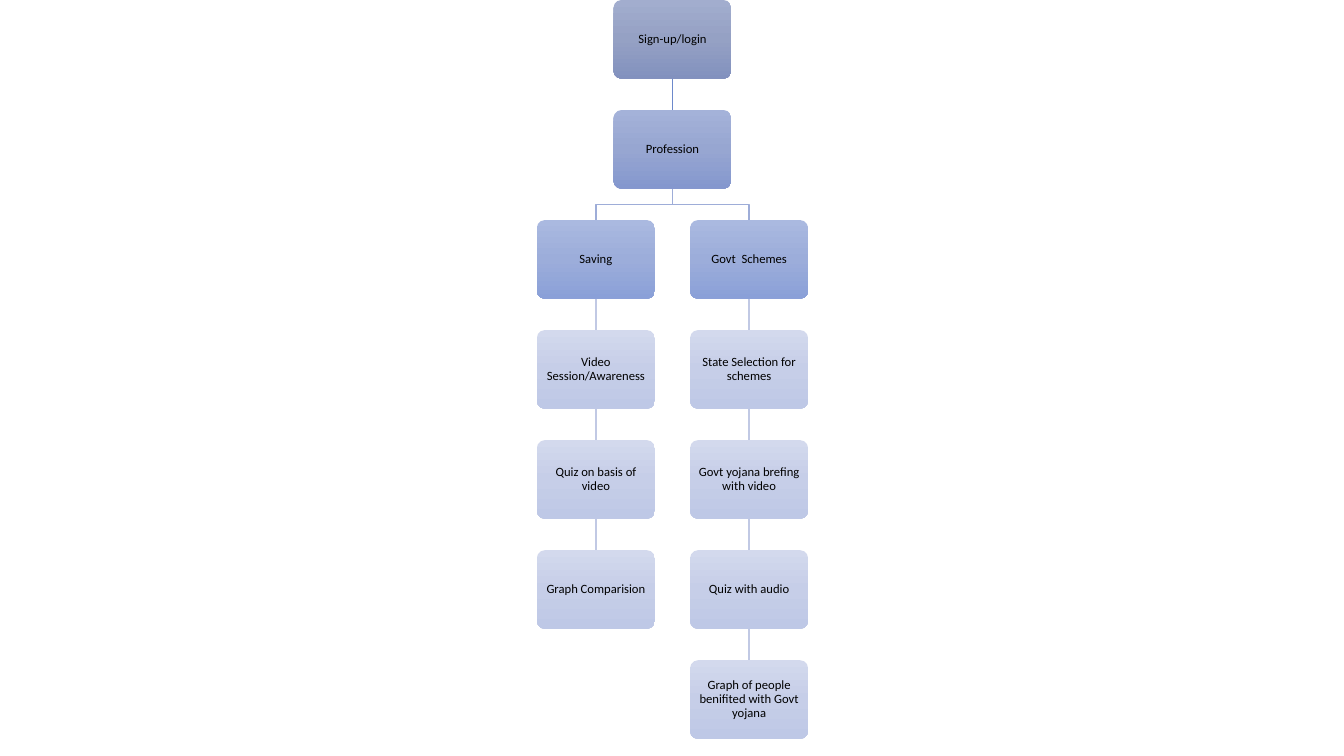
from copy import deepcopy

from lxml.etree import SubElement
from pptx import Presentation
from pptx.dml.color import RGBColor
from pptx.enum.shapes import MSO_CONNECTOR, MSO_SHAPE
from pptx.enum.text import MSO_ANCHOR, PP_ALIGN
from pptx.oxml.ns import qn
from pptx.util import Inches, Pt

BOX_WIDTH, BOX_HEIGHT = 1.17, 0.78
CHART_HEIGHT, LEVEL_COUNT = 7.33, 7
LEVEL_STEP = (CHART_HEIGHT - BOX_HEIGHT) / (LEVEL_COUNT - 1)
CENTER, BRANCH_OFFSET = 6.67, 0.76
TOP_SITE, BOTTOM_SITE = 0, 2

COLORS = {
    "text": "000000",
    "login_line": "6D89CB",
    "branch_line": "9EADD8",
    "step_line": "C1C9E4",
}
GRADIENTS = {
    "login": ("A2ADCE", "95A1C4", "8291BE"),
    "profession": ("A4B2D9", "97A6D1", "8497CE"),
    "branch": ("AAB9E0", "9CADDA", "8AA0D8"),
    "step": ("D3D9ED", "C6CEE8", "BEC8E6"),
}
BRANCHES = [
    (CENTER - BRANCH_OFFSET, [
        "Saving",
        "Video Session/Awareness",
        "Quiz on basis of video",
        "Graph Comparision",
    ]),
    (CENTER + BRANCH_OFFSET, [
        "Govt  Schemes",
        "State Selection for schemes",
        "Govt yojana brefing with video",
        "Quiz with audio",
        "Graph of people benifited with Govt yojana",
    ]),
]


def fill_gradient(shape, colors):
    """Fill from top to bottom with three evenly spaced colours."""
    shape.fill.gradient()
    shape.fill.gradient_angle = 270
    stop_list = shape._element.spPr.find(qn("a:gradFill")).find(qn("a:gsLst"))
    stop_list.insert(1, deepcopy(stop_list[0]))
    for index, (stop, color) in enumerate(zip(shape.fill.gradient_stops, colors)):
        stop.position = index / 2
        stop.color.rgb = RGBColor.from_string(color)


def style_line(line, color):
    line.color.rgb = RGBColor.from_string(COLORS[color])
    line.width = Pt(1)


def add_box(slide, center, level, text, gradient):
    box = slide.shapes.add_shape(
        MSO_SHAPE.ROUNDED_RECTANGLE,
        Inches(center - BOX_WIDTH / 2), Inches(level * LEVEL_STEP),
        Inches(BOX_WIDTH), Inches(BOX_HEIGHT))
    box.adjustments[0] = 0.1
    box.shadow.inherit = False
    box.line.fill.background()
    fill_gradient(box, GRADIENTS[gradient])

    frame = box.text_frame
    frame.word_wrap = True
    frame.vertical_anchor = MSO_ANCHOR.MIDDLE
    frame.margin_left = frame.margin_right = Inches(0.04)
    frame.margin_top = frame.margin_bottom = Inches(0.04)
    paragraph = frame.paragraphs[0]
    paragraph.text = text
    paragraph.alignment = PP_ALIGN.CENTER
    paragraph.line_spacing = 0.9
    paragraph.font.name = "Calibri"
    paragraph.font.size = Pt(9)
    paragraph.font.color.rgb = RGBColor.from_string(COLORS["text"])
    return box


def add_straight_link(slide, upper, lower, color):
    link = slide.shapes.add_connector(MSO_CONNECTOR.STRAIGHT, 0, 0, 0, 0)
    link.begin_connect(upper, BOTTOM_SITE)
    link.end_connect(lower, TOP_SITE)
    style_line(link.line, color)
    SubElement(link._element.spPr, qn("a:effectLst"))


def add_branch_link(slide, upper, lower):
    """Draw a down-across-down line between two boxes."""
    start_x = upper.left + upper.width // 2
    start_y = upper.top + upper.height
    end_x = lower.left + lower.width // 2
    middle_y = (start_y + lower.top) // 2
    builder = slide.shapes.build_freeform(start_x, start_y)
    builder.add_line_segments(
        [(start_x, middle_y), (end_x, middle_y), (end_x, lower.top)], close=False)
    link = builder.convert_to_shape()
    link.fill.background()
    link.shadow.inherit = False
    style_line(link.line, "branch_line")


def add_branch(slide, parent, center, labels):
    previous = add_box(slide, center, 2, labels[0], "branch")
    add_branch_link(slide, parent, previous)
    for level, label in enumerate(labels[1:], start=3):
        step = add_box(slide, center, level, label, "step")
        add_straight_link(slide, previous, step, "step_line")
        previous = step


def main():
    presentation = Presentation()
    presentation.slide_width = Inches(13.33)
    presentation.slide_height = Inches(7.5)
    slide = presentation.slides.add_slide(presentation.slide_layouts[6])

    login = add_box(slide, CENTER, 0, "Sign-up/login", "login")
    profession = add_box(slide, CENTER, 1, "Profession", "profession")
    add_straight_link(slide, login, profession, "login_line")
    for center, labels in BRANCHES:
        add_branch(slide, profession, center, labels)

    presentation.save("out.pptx")


if __name__ == "__main__":
    main()
